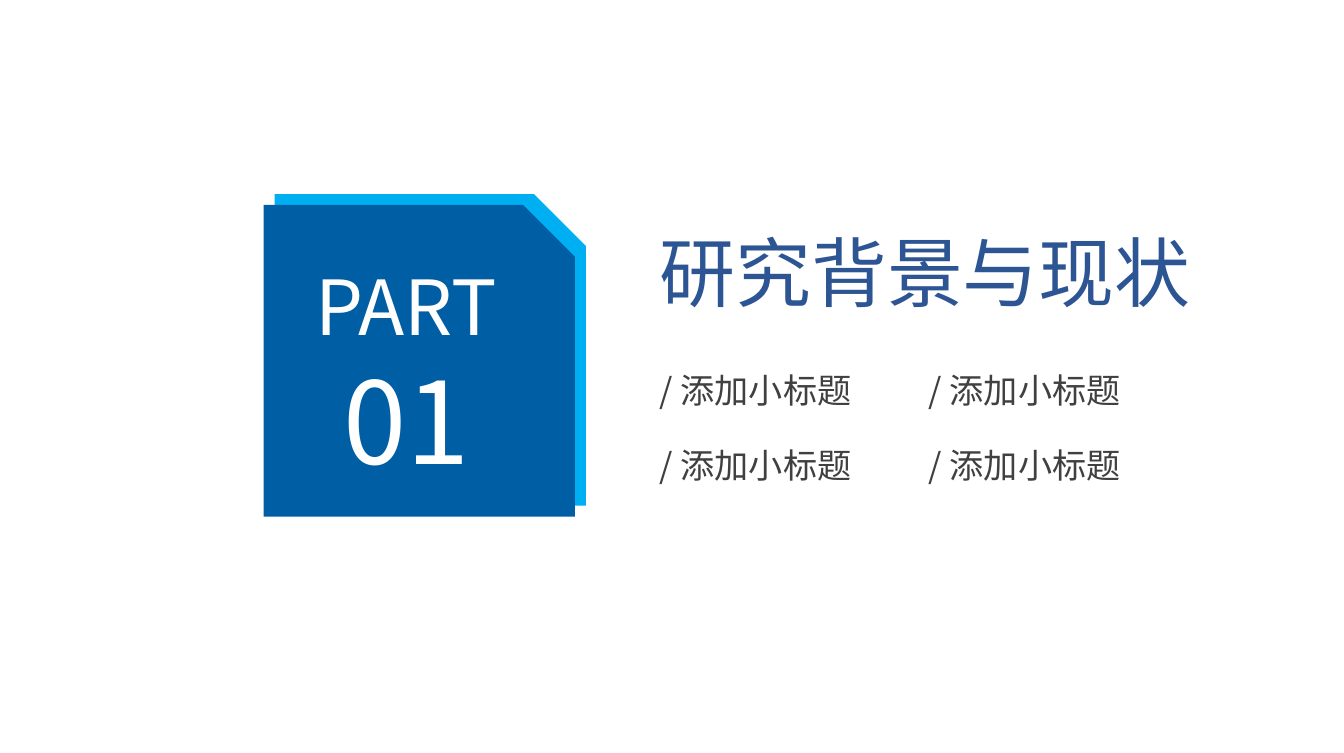
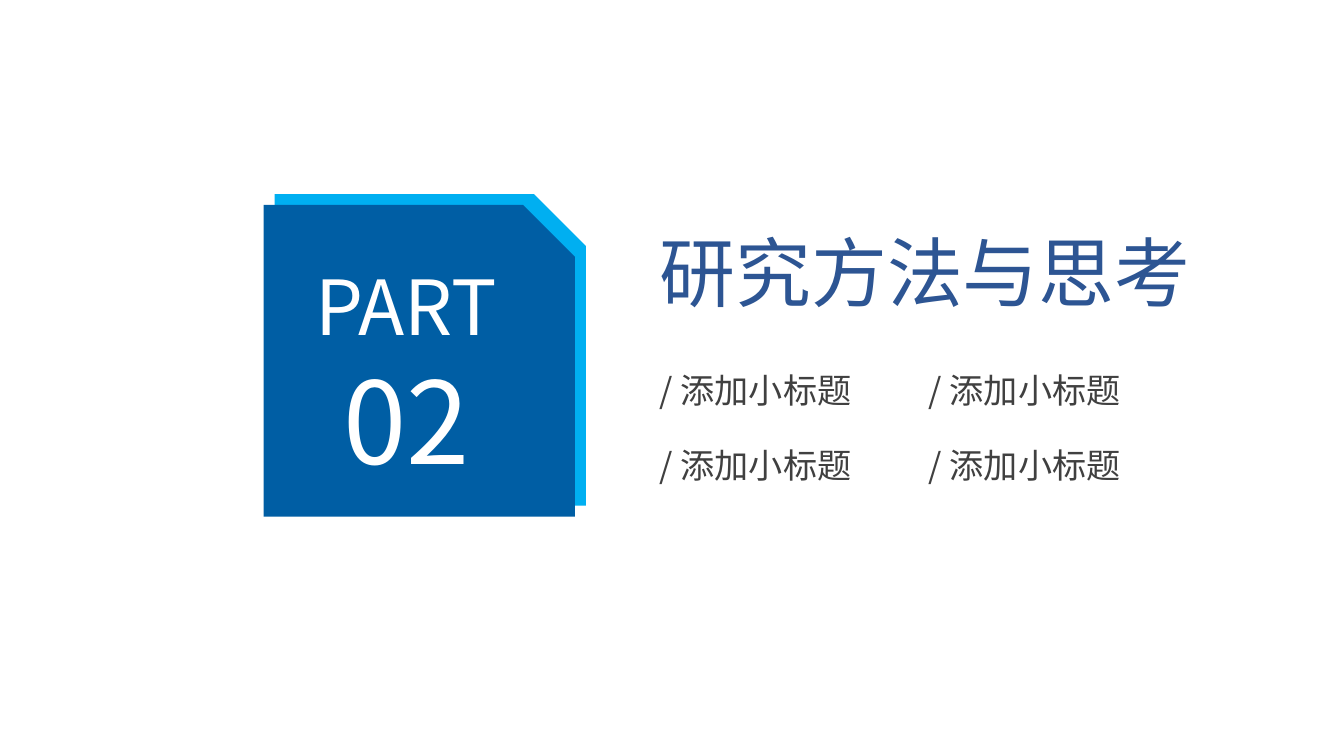
from pptx import Presentation
from pptx.dml.color import RGBColor
from pptx.enum.shapes import MSO_SHAPE as Preset
from pptx.enum.text import MSO_ANCHOR as Anchor, MSO_AUTO_SIZE as AutoSize, PP_ALIGN as Align
from pptx.oxml.ns import qn
from pptx.util import Inches, Pt

FONT = "Noto Sans CJK SC"
WHITE = RGBColor(0xFF, 0xFF, 0xFF)
SKY = RGBColor(0x00, 0xAF, 0xF1)
BLUE = RGBColor(0x00, 0x5E, 0xA4)
TITLE_BLUE = RGBColor(0x2D, 0x55, 0x93)
GREY = RGBColor(0x40, 0x40, 0x40)

SUBTITLE = "/ 添加小标题"
SECTIONS = [
    ("01", "研究背景与现状", [SUBTITLE] * 4),
    ("02", "研究方法与思考", [SUBTITLE] * 4),
]


def write(paragraph, text, size, color, align=Align.LEFT):
    paragraph.alignment = align
    run = paragraph.add_run()
    run.text = text
    run.font.size = Pt(size)
    run.font.name = FONT
    run.font.color.rgb = color
    east_asian = run.font._element.makeelement(qn("a:ea"), {"typeface": FONT})
    run.font._element.find(qn("a:latin")).addnext(east_asian)


def add_text(slide, left, top, width, height, text, **text_format):
    frame = slide.shapes.add_textbox(
        Inches(left), Inches(top), Inches(width), Inches(height)).text_frame
    frame.word_wrap = True
    frame.auto_size = AutoSize.SHAPE_TO_FIT_TEXT
    frame.margin_left = frame.margin_right = Inches(0.07)
    frame.margin_top = frame.margin_bottom = Inches(0.04)
    write(frame.paragraphs[0], text, **text_format)


def add_card(slide, left, top, side, color):
    card = slide.shapes.add_shape(
        Preset.SNIP_1_RECTANGLE, Inches(left), Inches(top), Inches(side), Inches(side))
    card.shadow.inherit = False
    card.fill.solid()
    card.fill.fore_color.rgb = color
    card.line.fill.background()
    return card


def add_part_badge(slide, left, top, side, number):
    offset = 0.08
    add_card(slide, left + offset, top - offset, side, SKY)
    frame = add_card(slide, left, top, side, BLUE).text_frame
    frame.vertical_anchor = Anchor.MIDDLE
    write(frame.paragraphs[0], "PART", 40, WHITE, Align.CENTER)
    write(frame.add_paragraph(), number, 60, WHITE, Align.CENTER)


def add_heading(slide, left, top, title, subtitles):
    add_text(slide, left, top, 5, 0.75, title, size=40, color=TITLE_BLUE)
    for index, subtitle in enumerate(subtitles):
        row, column = divmod(index, 2)
        add_text(slide, left + column * 1.97, top + 1.05 + row * 0.55, 3.07, 0.38,
                 subtitle, size=18, color=GREY)


def add_section_slide(presentation, number, title, subtitles):
    slide = presentation.slides.add_slide(presentation.slide_layouts[6])
    add_part_badge(slide, 1.93, 1.5, 2.28, number)
    add_heading(slide, 4.76, 1.61, title, subtitles)


def main():
    presentation = Presentation()
    presentation.slide_width = Inches(9.84)
    presentation.slide_height = Inches(5.51)
    for section in SECTIONS:
        add_section_slide(presentation, *section)
    presentation.save("out.pptx")


if __name__ == "__main__":
    main()
